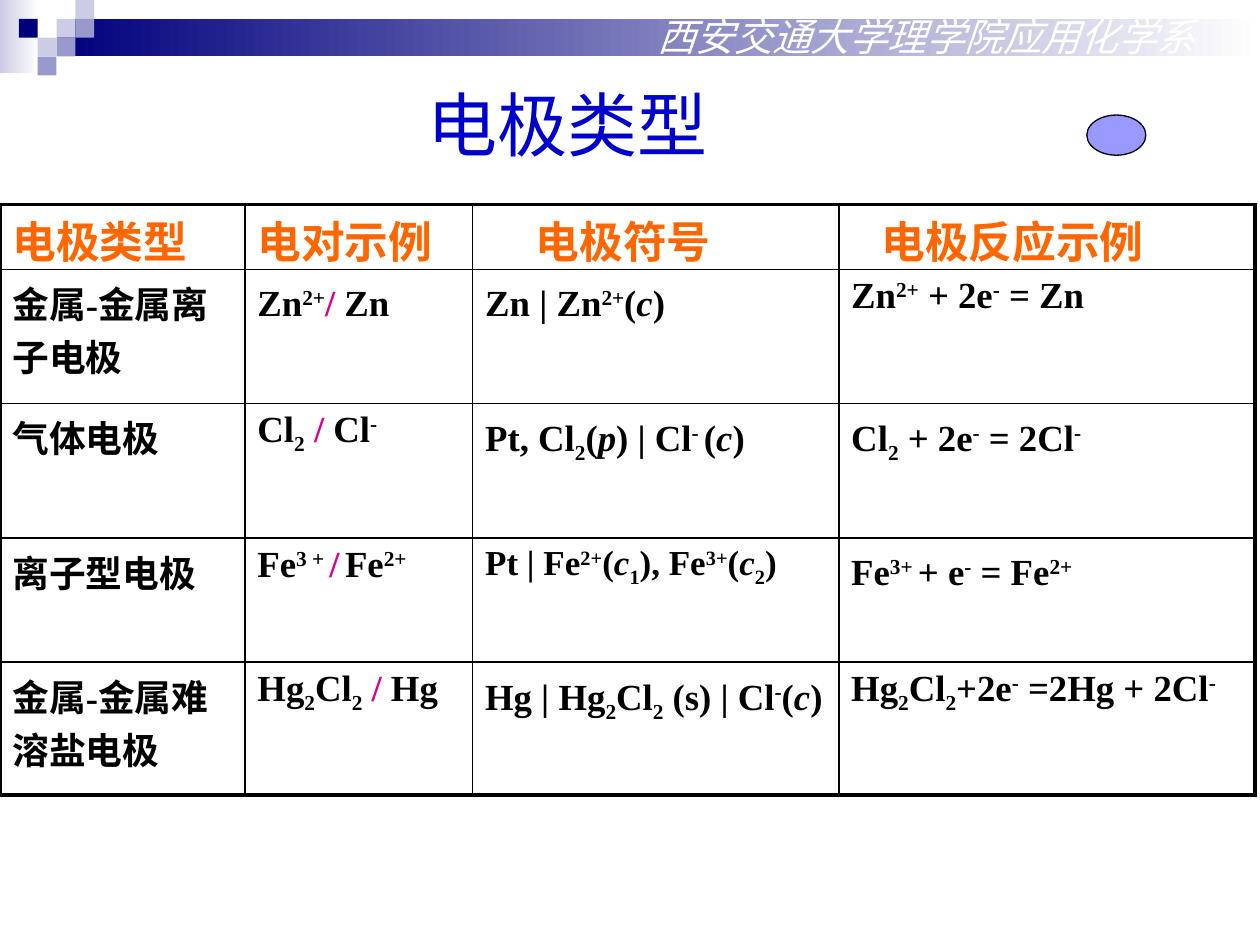
from dataclasses import dataclass
from typing import NamedTuple

from lxml.etree import SubElement
from pptx import Presentation
from pptx.dml.color import RGBColor
from pptx.enum.shapes import MSO_SHAPE
from pptx.enum.text import MSO_ANCHOR, PP_ALIGN
from pptx.oxml.ns import qn
from pptx.util import Cm, Pt

COLORS = {
    "navy": "00007D", "lavender": "CCCCE6", "violet": "9999CC", "periwinkle": "9999FF",
    "blue": "0000CC", "orange": "FF6600", "magenta": "D60093",
    "black": "000000", "white": "FFFFFF",
}
SQUARE = 0.38
COLUMN_WIDTHS = [4.94, 4.59, 7.38, 8.39]
ROW_HEIGHTS = [1.31, 2.7, 2.72, 2.5, 2.68]
THIN, THICK = 1, 2.25


class Box(NamedTuple):
    left: float
    top: float
    width: float
    height: float

    def lengths(self) -> list:
        return [Cm(value) for value in self]


@dataclass(frozen=True)
class Piece:
    text: str
    baseline: int = 0
    italic: bool = False
    color: str = "black"


@dataclass(frozen=True)
class Entry:
    pieces: tuple
    size: float = 21
    spacing: float = 1.0
    indent: float = 0
    header: bool = False


def sup(text: str) -> Piece:
    return Piece(text, baseline=30)


def sub(text: str) -> Piece:
    return Piece(text, baseline=-25)


def var(text: str) -> Piece:
    return Piece(text, italic=True)


def slash(text: str) -> Piece:
    return Piece(text, color="magenta")


def entry(*parts, **options) -> Entry:
    """Plain strings become upright pieces on the normal baseline."""
    return Entry(tuple(Piece(p) if isinstance(p, str) else p for p in parts), **options)


def heading(text: str, indent: float = 0) -> Entry:
    """A tight line keeps the header row low."""
    return entry(Piece(text, color="orange"), size=25, spacing=0.8, indent=indent, header=True)


ROWS = [
    [heading("电极类型"), heading("电对示例"),
     heading("电极符号", 1.02), heading("电极反应示例", 0.61)],
    [entry("金属-金属离子电极"),
     entry("Zn", sup("2+"), slash("/ "), "Zn", spacing=1.2),
     entry("Zn | Zn", sup("2+"), "(", var("c"), ")", spacing=1.2),
     entry("Zn", sup("2+"), " + 2e", sup("-"), " = Zn")],
    [entry("气体电极"),
     entry("Cl", sub("2"), slash(" / "), "Cl", sup("-")),
     entry("Pt, Cl", sub("2"), "(", var("p"), ") | Cl", sup("- "), "(", var("c"), ")",
           spacing=1.2),
     entry("Cl", sub("2"), " + 2e", sup("-"), " = 2Cl", sup("-"), spacing=1.2)],
    [entry("离子型电极"),
     entry("Fe", sup("3 + "), slash("/"), sup(" "), "Fe", sup("2+")),
     entry("Pt | Fe", sup("2+"), "(", var("c"), sub("1"), "), Fe", sup("3+"),
           "(", var("c"), sub("2"), ")", size=20),
     entry("Fe", sup("3+ "), "+ e", sup("-"), " = Fe", sup("2+"), spacing=1.2)],
    [entry("金属-金属难溶盐电极"),
     entry("Hg", sub("2"), "Cl", sub("2"), slash(" / "), "Hg"),
     entry("Hg | Hg", sub("2"), "Cl", sub("2"), " (s) | Cl", sup("-"),
           "(", var("c"), ")", spacing=1.2),
     entry("Hg", sub("2"), "Cl", sub("2"), "+2e", sup("-"), " =2Hg + 2Cl", sup("-"))],
]


def rgb(name: str) -> RGBColor:
    return RGBColor.from_string(COLORS[name])


def add_block(slide, box: Box, *fills: str, preset=MSO_SHAPE.RECTANGLE,
              outline: str = "") -> None:
    """One fill colour is solid; two run as a gradient from left to right."""
    block = slide.shapes.add_shape(preset, *box.lengths())
    block.shadow.inherit = False
    if len(fills) == 1:
        block.fill.solid()
        block.fill.fore_color.rgb = rgb(fills[0])
    else:
        block.fill.gradient()
        block.fill.gradient_angle = 0
        for stop, name, position in zip(block.fill.gradient_stops, fills, (0, 1)):
            stop.color.rgb = rgb(name)
            stop.position = position
    if outline:
        block.line.color.rgb = rgb(outline)
        block.line.width = Pt(0.75)
    else:
        block.line.fill.background()


def add_label(slide, box: Box, text: str, size: float, color: str, *, italic: bool = False,
              align=PP_ALIGN.LEFT, anchor=MSO_ANCHOR.TOP) -> None:
    frame = slide.shapes.add_textbox(*box.lengths()).text_frame
    frame.word_wrap = True
    frame.vertical_anchor = anchor
    paragraph = frame.paragraphs[0]
    paragraph.text = text
    paragraph.alignment = align
    font = paragraph.font
    font.name, font.size, font.italic = "Arial", Pt(size), italic
    font.color.rgb = rgb(color)


def set_borders(cell, widths: dict) -> None:
    properties = cell._tc.get_or_add_tcPr()
    for index, (side, width) in enumerate(widths.items()):
        line = SubElement(properties, qn(f"a:ln{side}"), w=str(Pt(width)))
        fill = SubElement(line, qn("a:solidFill"))
        SubElement(fill, qn("a:srgbClr"), val=COLORS["black"])
        properties.insert(index, line)


def fill_cell(cell, content: Entry) -> None:
    cell.margin_left = cell.margin_right = Cm(0.25)
    if content.header:
        cell.margin_top, cell.margin_bottom = Cm(0.28), 0
        cell.vertical_anchor = MSO_ANCHOR.MIDDLE
        cell.fill.solid()
        cell.fill.fore_color.rgb = rgb("white")
    else:
        cell.margin_top = cell.margin_bottom = Cm(0.13)
        cell.vertical_anchor = MSO_ANCHOR.TOP
        cell.fill.background()
    paragraph = cell.text_frame.paragraphs[0]
    paragraph.line_spacing = content.spacing
    if content.indent:
        paragraph._p.get_or_add_pPr().set("marL", str(Cm(content.indent)))
    font = paragraph.font
    font.name, font.size, font.bold = "Times New Roman", Pt(content.size), True
    for piece in content.pieces:
        run = paragraph.add_run()
        run.text = piece.text
        run.font.color.rgb = rgb(piece.color)
        if piece.italic:
            run.font.italic = True
        if piece.baseline:
            run._r.get_or_add_rPr().set("baseline", str(piece.baseline * 1000))


def add_electrode_table(slide) -> None:
    box = Box(0, 4.12, sum(COLUMN_WIDTHS), sum(ROW_HEIGHTS))
    table = slide.shapes.add_table(len(ROWS), len(COLUMN_WIDTHS), *box.lengths()).table
    table.first_row = table.horz_banding = False
    for column, width in zip(table.columns, COLUMN_WIDTHS):
        column.width = Cm(width)
    last_row, last_column = len(ROWS) - 1, len(COLUMN_WIDTHS) - 1
    for r, (row, height) in enumerate(zip(ROWS, ROW_HEIGHTS)):
        table.rows[r].height = Cm(height)
        for c, content in enumerate(row):
            cell = table.cell(r, c)
            fill_cell(cell, content)
            outer = {"L": c == 0, "R": c == last_column, "T": r == 0, "B": r == last_row}
            set_borders(cell, {side: THICK if edge else THIN for side, edge in outer.items()})


def add_banner(slide) -> None:
    add_block(slide, Box(0, 0, 0.79, 1.47), "lavender", "white")
    add_block(slide, Box(1.14, 0.38, 24.26, 0.76), "navy", "white")
    squares = [(3, 1, "lavender"), (4, 0, "lavender"), (4, 1, "violet"), (2, 2, "lavender"),
               (1, 1, "navy"), (3, 2, "violet"), (2, 3, "violet")]
    for column, row, color in squares:
        add_block(slide, Box(column * SQUARE, row * SQUARE, SQUARE, SQUARE), color)


def main() -> None:
    deck = Presentation()
    deck.slide_width, deck.slide_height = Cm(25.4), Cm(19.05)
    slide = deck.slides.add_slide(deck.slide_layouts[6])
    add_banner(slide)
    add_electrode_table(slide)
    add_label(slide, Box(3.7, 1.32, 15.47, 2.36), "电极类型", 40, "blue",
              align=PP_ALIGN.CENTER, anchor=MSO_ANCHOR.MIDDLE)
    add_block(slide, Box(21.91, 2.32, 1.19, 0.81), "periwinkle",
              preset=MSO_SHAPE.OVAL, outline="black")
    add_label(slide, Box(13, 0.13, 12.4, 1.19), "西安交通大学理学院应用化学系", 22, "white",
              italic=True)
    deck.save("out.pptx")


if __name__ == "__main__":
    main()
